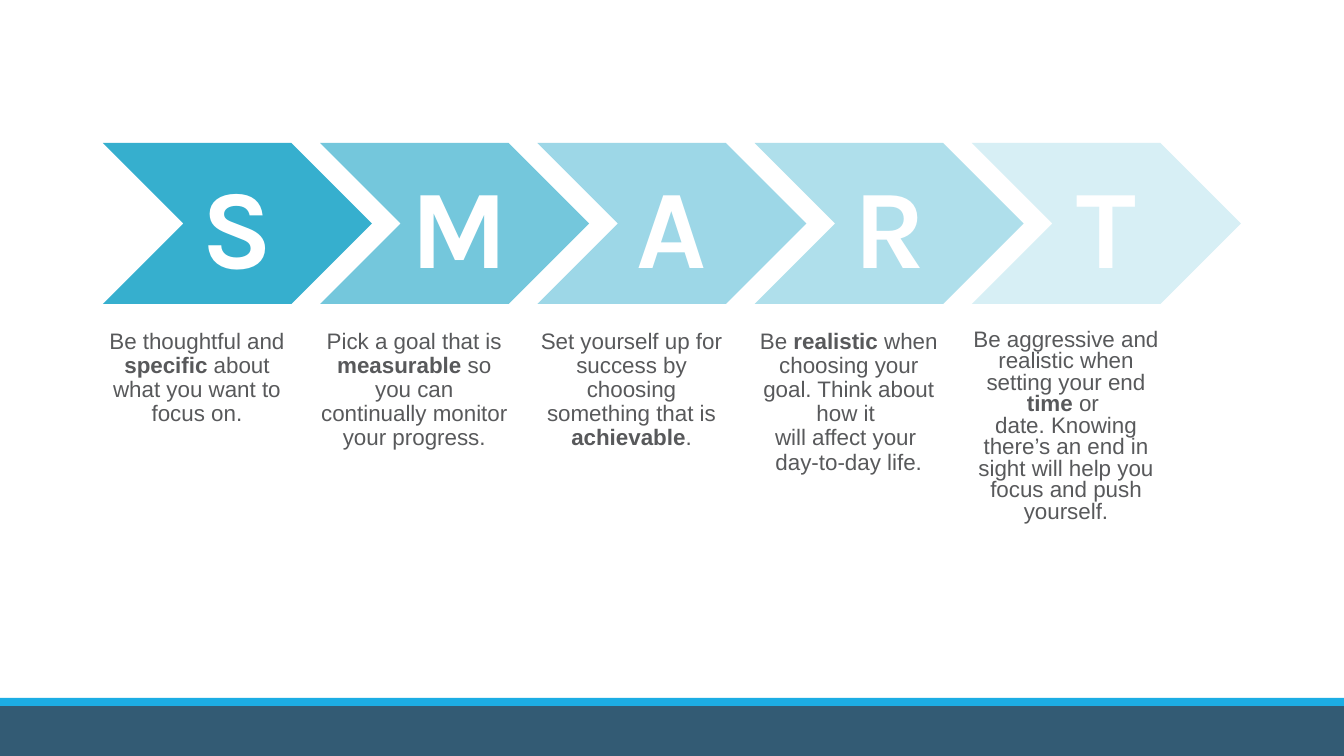
from pptx import Presentation
from pptx import util as u
from pptx.dml.color import RGBColor
from pptx.enum import shapes, text

# Content: letter, chevron colour, description as (words, bold) with \n for a line break
GOALS = [
    ("S", "teal1", [("Be thoughtful and ", False), ("specific", True),
                    (" about what you want to focus on.", False)]),
    ("M", "teal2", [("Pick a goal that is ", False), ("measurable", True),
                    (" so you can continually monitor your progress.", False)]),
    ("A", "teal3", [("Set yourself up for success by choosing something that is ", False),
                    ("achievable", True), (".", False)]),
    ("R", "teal4", [("Be ", False), ("realistic", True),
                    (" when choosing your goal. Think about how it \n"
                     "will affect your \nday-to-day life.", False)]),
    ("T", "teal5", [("Be aggressive and realistic when setting your end ", False),
                    ("time", True),
                    (" or \ndate. Knowing there’s an end in sight will help you "
                     "focus and push yourself.", False)]),
]
LINE_SPACING = {"T": 0.8}  # the longest description is set tighter

COLORS = {
    "teal1": "36AFCE", "teal2": "74C7DC", "teal3": "9DD7E7",
    "teal4": "AFDFEB", "teal5": "D7EFF5",
    "footer": "335B74", "stripe": "1CADE4", "body": "58595B", "white": "FFFFFF",
}

# Layout in px
PX = 914400 / 100.8
SLIDE_W, SLIDE_H = 1344, 756
FIRST_X, LAST_X = 103, 972
PITCH = (LAST_X - FIRST_X) / (len(GOALS) - 1)
CHEVRON_Y, CHEVRON_W, CHEVRON_H = 143, 269, 161
DESC_Y, DESC_W, DESC_H = 330, 188, 201
FOOTER_Y, STRIPE_Y = 706, 698


def box(*px):
    return [u.Emu(round(v * PX)) for v in px]


def rgb(name):
    return RGBColor.from_string(COLORS[name])


def add_filled(slide, kind, color, *px):
    shape = slide.shapes.add_shape(kind, *box(*px))
    shape.shadow.inherit = False
    shape.fill.solid()
    shape.fill.fore_color.rgb = rgb(color)
    shape.line.fill.background()
    return shape


def style(paragraph, font_name, size, color, bold=None):
    paragraph.alignment = text.PP_ALIGN.CENTER
    font = paragraph.font
    font.name, font.size, font.bold = font_name, u.Pt(size), bold
    font.color.rgb = rgb(color)


def add_description(slide, x, pieces, spacing):
    frame = slide.shapes.add_textbox(*box(x, DESC_Y, DESC_W, DESC_H)).text_frame
    frame.word_wrap = True
    frame.margin_left = frame.margin_right = frame.margin_top = frame.margin_bottom = 0
    paragraph = frame.paragraphs[0]
    style(paragraph, "Arial", 16, "body")
    paragraph.line_spacing = spacing
    paragraph.space_before = u.Pt(10)
    for words, bold in pieces:
        for i, line in enumerate(words.split("\n")):
            if i:
                paragraph.add_line_break()
            run = paragraph.add_run()
            run.text = line
            run.font.bold = bold


def add_chevron(slide, x, letter, color):
    chevron = add_filled(slide, shapes.MSO_SHAPE.CHEVRON, color,
                         x, CHEVRON_Y, CHEVRON_W, CHEVRON_H)
    frame = chevron.text_frame
    frame.vertical_anchor = text.MSO_ANCHOR.MIDDLE
    frame.text = letter
    style(frame.paragraphs[0], "Karla", 80, "white", True)


def main():
    prs = Presentation()
    prs.slide_width, prs.slide_height = box(SLIDE_W, SLIDE_H)
    slide = prs.slides.add_slide(prs.slide_layouts[6])

    # Footer bands
    rect = shapes.MSO_SHAPE.RECTANGLE
    add_filled(slide, rect, "footer", 0, FOOTER_Y, SLIDE_W, SLIDE_H - FOOTER_Y)
    add_filled(slide, rect, "stripe", 0, STRIPE_Y, SLIDE_W, FOOTER_Y - STRIPE_Y)

    # Chevrons with their descriptions
    for i, (letter, color, pieces) in enumerate(GOALS):
        x = FIRST_X + i * PITCH
        add_description(slide, x, pieces, LINE_SPACING.get(letter, 0.9))
        add_chevron(slide, x, letter, color)

    prs.save("out.pptx")


if __name__ == "__main__":
    main()
